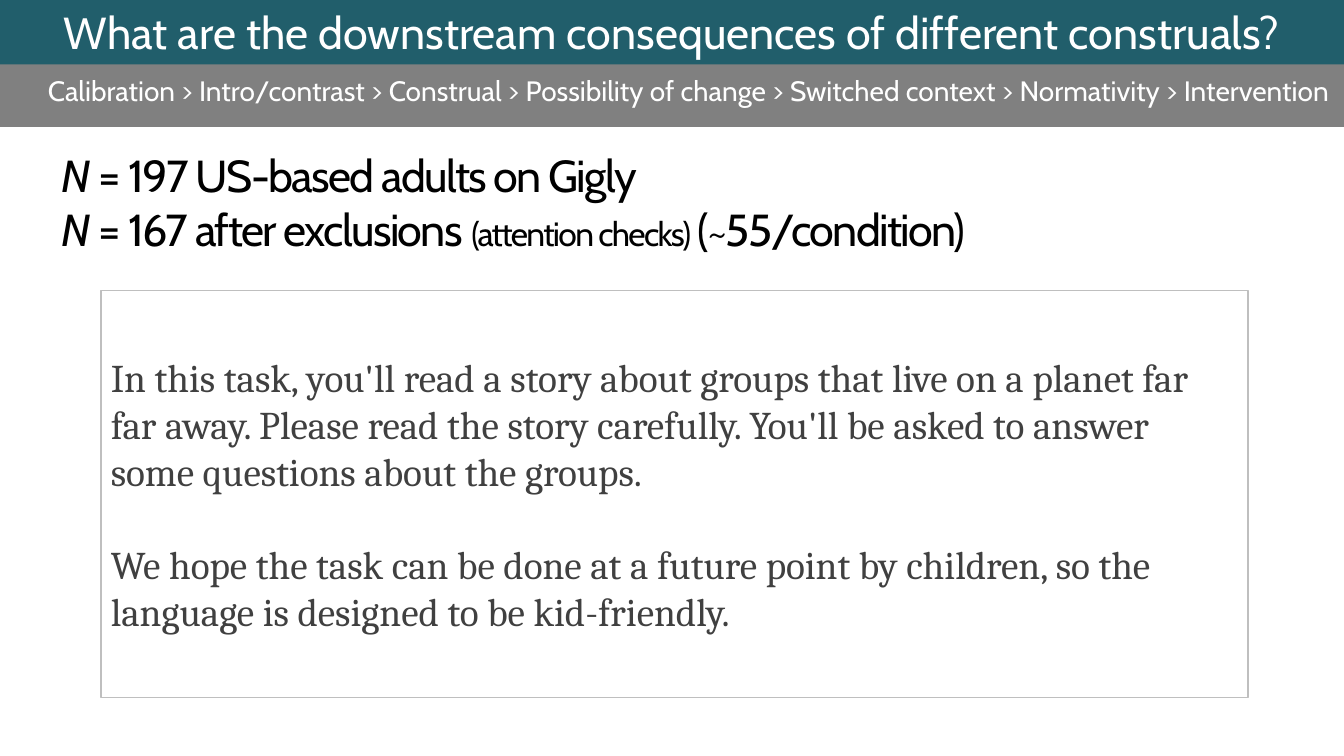
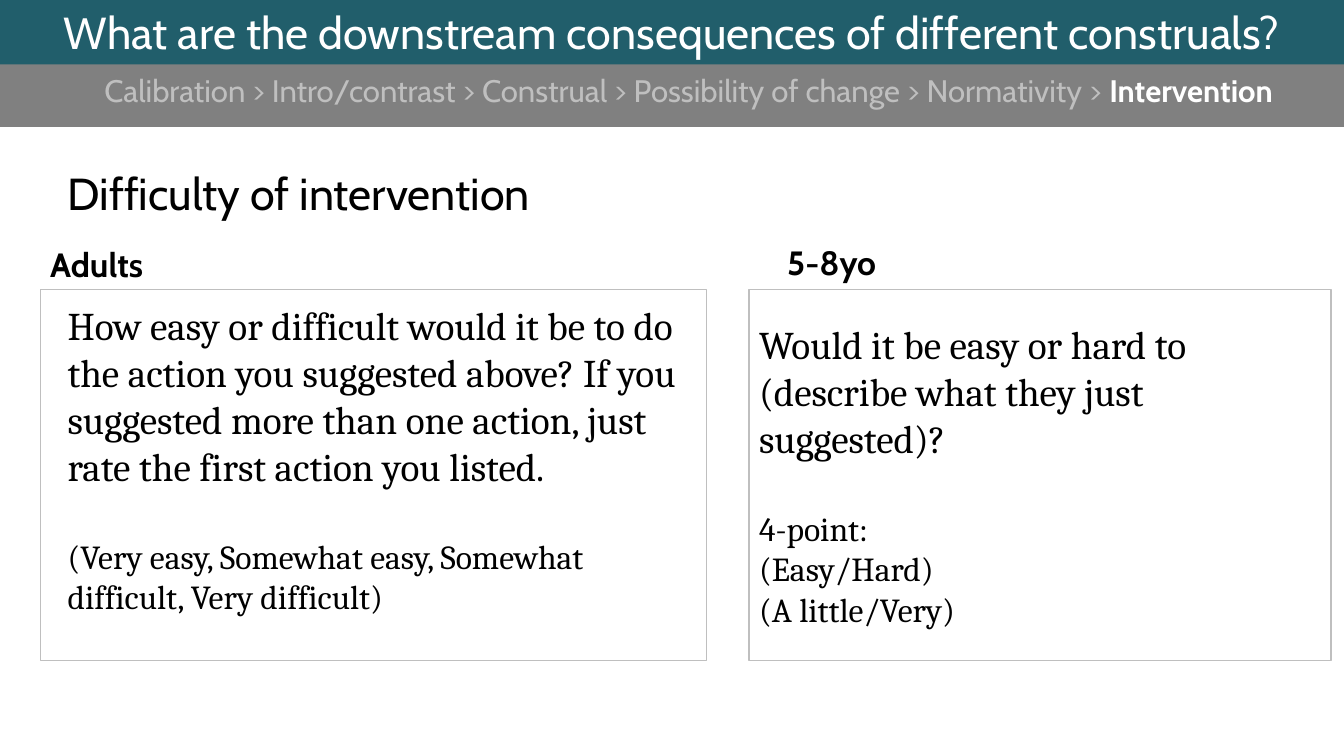
from pptx import Presentation
from pptx.dml.color import RGBColor
from pptx.enum.shapes import MSO_SHAPE as SHAPE
from pptx.enum.text import MSO_ANCHOR as ANCHOR, PP_ALIGN as ALIGN
from pptx.util import Inches, Pt

# Shared style
TEAL, GREY, SILVER, DARK = "215E6B", "808080", "BFBFBF", "404040"
BLACK, WHITE = "000000", "FFFFFF"
SANS, SERIF = "Cabin", "Cambria"
GAP = 33  # one line of body text, in points

HEADING = dict(name=SANS, size=32, color=BLACK)
SAMPLE = dict(HEADING, spacing=-1.2)
LABEL = dict(name=SANS, size=24, color=BLACK, bold=True)
BODY = dict(name=SERIF, size=28, color=BLACK)
SCALE = dict(BODY, size=24)
INTRO = dict(BODY, color=DARK)
STEPS = dict(name=SANS, size=20, color=WHITE)
PAST = dict(STEPS, size=22.2, color=SILVER)
CURRENT = dict(PAST, color=WHITE, bold=True)

# Content: a paragraph is (runs, space before), a run is (text, format)
TITLE = "What are the downstream consequences of different construals?"

SLIDES = [
    dict(
        steps=[("Calibration > Intro/contrast > Construal > Possibility of change > "
                "Switched context > Normativity > Intervention", STEPS)],
        texts=[
            ((0.51, 1.42, 12.03, 1.17), [
                ([("N ", dict(SAMPLE, italic=True)),
                  ("= 197 US-based adults on Gigly", SAMPLE)], 0),
                ([("N ", dict(SAMPLE, italic=True)),
                  ("= 167 after exclusions ", SAMPLE),
                  ("(attention checks) ", dict(SAMPLE, size=24)),
                  ("(~55/condition)", SAMPLE)], 0),
            ]),
        ],
        boxes=[
            ((1, 2.88, 11.38, 4.04), {}, [
                ([("In this task, you'll read a story about groups that live on a planet "
                   "far far away. Please read the story carefully. You'll be asked to "
                   "answer some questions about the groups.", INTRO)], 0),
                ([("We hope the task can be done at a future point by children, so the "
                   "language is designed to be kid-friendly.", INTRO)], GAP),
            ]),
        ],
    ),
    dict(
        steps=[("Calibration > Intro/contrast > Construal > Possibility of change > "
                "Normativity > ", PAST), ("Intervention", CURRENT)],
        texts=[
            ((0.57, 1.59, 5.71, 0.64), [([("Difficulty of intervention", HEADING)], 0)]),
            ((0.4, 2.37, 1.56, 0.5), [([("Adults", LABEL)], 0)]),
            ((7.71, 2.35, 3, 0.5), [([("5-8yo", LABEL)], 0)]),
        ],
        boxes=[
            ((0.4, 2.87, 6.61, 3.68),
             dict(vertical_anchor=ANCHOR.TOP, margin_left=Inches(0.27),
                  margin_top=Inches(0.12)), [
                ([("How easy or difficult would it be to do the action you suggested "
                   "above? If you suggested more than one action, just rate the first "
                   "action you listed.", BODY)], 0),
                ([("(Very easy, Somewhat easy, Somewhat difficult, Very difficult)",
                   SCALE)], GAP),
            ]),
            ((7.43, 2.87, 5.77, 3.68), {}, [
                ([("Would it be easy or hard to (describe what they just suggested)?",
                   BODY)], 0),
                ([("4-point:", SCALE)], GAP),
                ([("(Easy/Hard)", SCALE)], 0),
                ([("(A little/Very)", SCALE)], 0),
            ]),
        ],
    ),
]


def rgb(value):
    return RGBColor.from_string(value)


def add_run(p, text, style):
    r = p.add_run()
    r.text = text
    for key, value in style.items():
        if key == "color":
            r.font.color.rgb = rgb(value)
        elif key == "spacing":
            r._r.get_or_add_rPr().set("spc", str(round(value * 100)))
        else:
            setattr(r.font, key, Pt(value) if key == "size" else value)


def write(tf, paragraphs, align=ALIGN.LEFT, **frame):
    tf.word_wrap = True
    for key, value in frame.items():
        setattr(tf, key, value)
    for i, (runs, before) in enumerate(paragraphs):
        p = tf.add_paragraph() if i else tf.paragraphs[0]
        p.alignment = align
        if before:
            p.space_before = Pt(before)
        for text, style in runs:
            add_run(p, text, style)


def add_rect(s, at, fill=None, line=None):
    sp = s.shapes.add_shape(SHAPE.RECTANGLE, *map(Inches, at))
    sp.shadow.inherit = False
    if fill:
        sp.fill.solid()
        sp.fill.fore_color.rgb = rgb(fill)
    else:
        sp.fill.background()
    if line:
        sp.line.color.rgb = rgb(line)
        sp.line.width = Pt(1)
    else:
        sp.line.fill.background()
    return sp


def add_bands(s, steps):
    # Progress band, then the title band over its top edge
    tf = add_rect(s, (0, 0.58, 13.38, 0.68), fill=GREY).text_frame
    write(tf, [(steps, 0)], ALIGN.CENTER, vertical_anchor=ANCHOR.MIDDLE)
    p = tf.paragraphs[0]
    p.line_spacing = 0.85
    p._p.get_or_add_pPr().set("marL", str(Inches(0.28)))
    tf = add_rect(s, (0, 0, 13.33, 0.64), fill=TEAL).text_frame
    write(tf, [([(TITLE, dict(HEADING, color=WHITE))], 0)], ALIGN.CENTER,
          vertical_anchor=ANCHOR.TOP)


def main():
    prs = Presentation()
    prs.slide_width, prs.slide_height = Inches(13.33), Inches(7.5)
    for content in SLIDES:
        s = prs.slides.add_slide(prs.slide_layouts[6])
        add_bands(s, content["steps"])
        for at, paragraphs in content["texts"]:
            write(s.shapes.add_textbox(*map(Inches, at)).text_frame, paragraphs)
        for at, frame, paragraphs in content["boxes"]:
            sp = add_rect(s, at, line=SILVER)
            write(sp.text_frame, paragraphs,
                  **{"vertical_anchor": ANCHOR.MIDDLE, **frame})
    prs.save("out.pptx")


if __name__ == "__main__":
    main()
